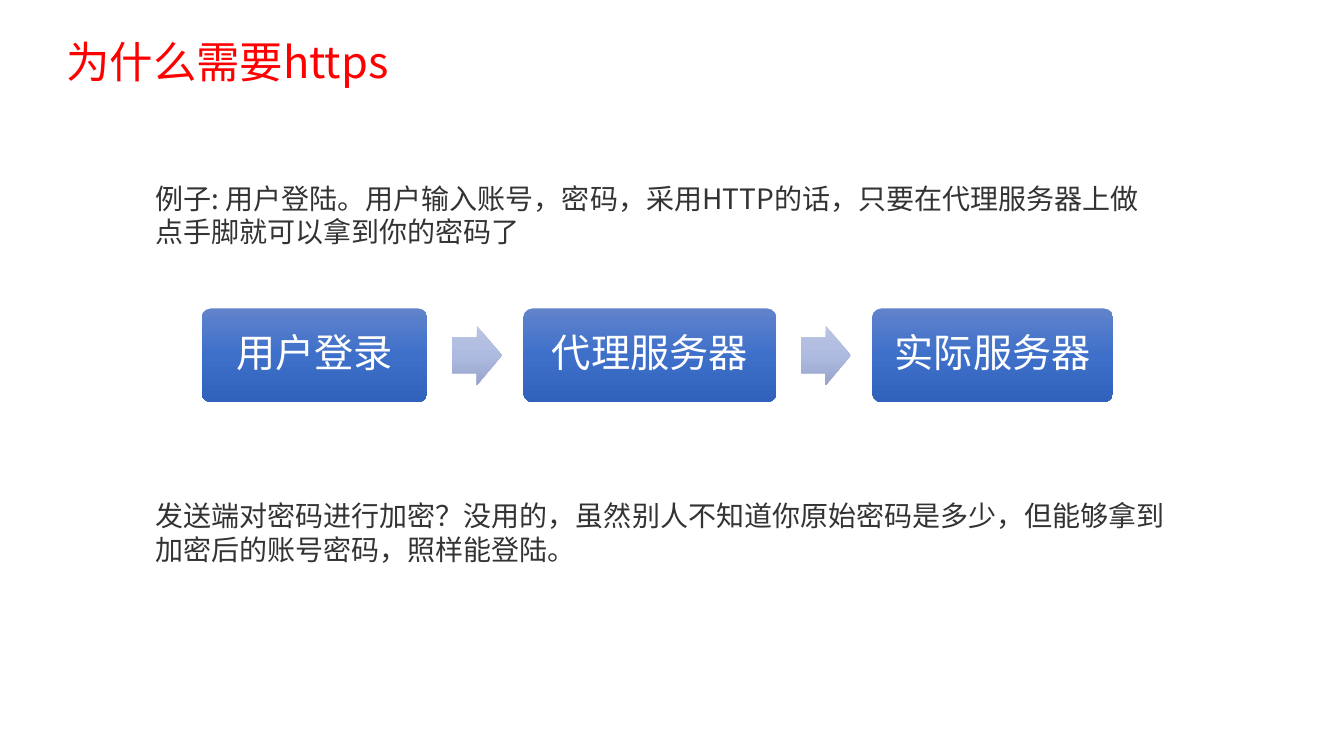
from lxml.etree import SubElement
from pptx import Presentation
from pptx.dml.color import RGBColor
from pptx.enum.shapes import MSO_SHAPE as Preset
from pptx.enum.text import MSO_ANCHOR as Anchor, PP_ALIGN as Align
from pptx.oxml.ns import qn
from pptx.util import Inches, Pt

FONT = "Noto Sans CJK SC"
STEP_COLORS = ["6183CB", "3E70CA", "3062BB"]
ARROW_COLORS = ["BBC5E3", "AEBBE0", "98A4CB"]


def rgb(hex_color):
    return RGBColor.from_string(hex_color)


def write(shape, words, size, color, align, anchor, spacing, inset=None):
    frame = shape.text_frame
    frame.text = words
    frame.word_wrap = True
    frame.vertical_anchor = anchor
    if inset is not None:
        frame.margin_left = frame.margin_right = Inches(inset)
        frame.margin_top = frame.margin_bottom = Inches(inset)
    for paragraph in frame.paragraphs:
        paragraph.alignment = align
        paragraph.line_spacing = spacing
        for run in paragraph.runs:
            run.font.name = FONT
            run.font.size = Pt(size)
            run.font.color.rgb = rgb(color)
            # East Asian glyphs take their own typeface entry
            SubElement(run.font._element, qn("a:ea"), typeface=FONT)


def add_text(slide, words, left, top, width, height, size, color,
             align, anchor, spacing):
    box = slide.shapes.add_textbox(
        Inches(left), Inches(top), Inches(width), Inches(height))
    write(box, words, size, color, align, anchor, spacing)


def add_gradient_shape(slide, preset, left, top, width, height, colors, adjustments):
    shape = slide.shapes.add_shape(
        preset, Inches(left), Inches(top), Inches(width), Inches(height))
    shape.shadow.inherit = False
    shape.line.fill.background()
    for index, value in enumerate(adjustments):
        shape.adjustments[index] = value
    # Evenly spread stops, running from top to bottom
    shape.fill.gradient()
    shape.fill.gradient_angle = 270
    stops = shape._element.spPr.find(qn("a:gradFill")).find(qn("a:gsLst"))
    stops.clear()
    for index, color in enumerate(colors):
        position = 100000 * index // (len(colors) - 1)
        stop = SubElement(stops, qn("a:gs"), pos=str(position))
        SubElement(stop, qn("a:srgbClr"), val=color)
    return shape


def add_flow(slide, steps, left, top, height):
    arrow_width, arrow_height = 0.5, 0.59
    gap_before, gap_after = 0.24, 0.21
    for index, (label, width) in enumerate(steps):
        if index:
            left += gap_before
            add_gradient_shape(
                slide, Preset.RIGHT_ARROW, left, top + (height - arrow_height) / 2,
                arrow_width, arrow_height, ARROW_COLORS, [0.6, 0.5])
            left += arrow_width + gap_after
        step = add_gradient_shape(
            slide, Preset.ROUNDED_RECTANGLE, left, top, width, height,
            STEP_COLORS, [0.1])
        write(step, label, 28, "FFFFFF", Align.CENTER, Anchor.MIDDLE, 0.9, 0.12)
        left += width


def main():
    deck = Presentation()
    deck.slide_width, deck.slide_height = Inches(13.33), Inches(7.5)
    slide = deck.slides.add_slide(deck.slide_layouts[6])

    # Title
    add_text(slide, "为什么需要https", 0.27, 0.3, 3.97, 0.62, 31, "FF0000",
             Align.CENTER, Anchor.BOTTOM, 0.9)

    # Login path through the proxy
    add_flow(slide, [("用户登录", 2.24), ("代理服务器", 2.51), ("实际服务器", 2.39)],
             left=2, top=3.06, height=0.93)

    # Example above the flow, objection below it
    explanations = [
        ("例子: 用户登陆。用户输入账号，密码，采用HTTP的话，"
         "只要在代理服务器上做点手脚就可以拿到你的密码了", 1.75, 10.19),
        ("发送端对密码进行加密？没用的，虽然别人不知道你原始密码是多少，"
         "但能够拿到加密后的账号密码，照样能登陆。", 4.9, 10.38),
    ]
    for words, top, width in explanations:
        add_text(slide, words, 1.44, top, width, 0.77, 20, "333333",
                 Align.LEFT, Anchor.TOP, Pt(24))

    deck.save("out.pptx")


main()
